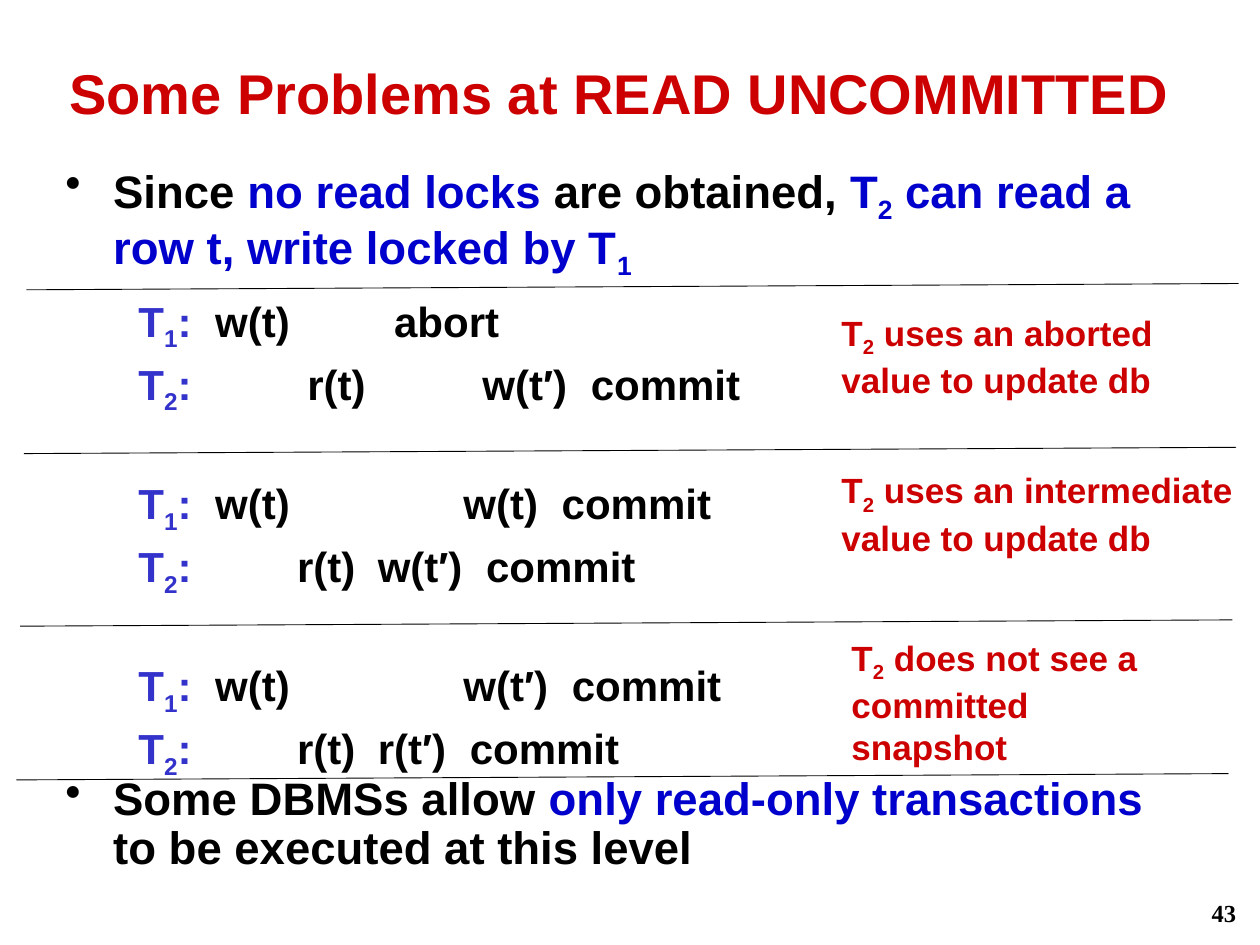
from lxml import etree
from pptx import Presentation
from pptx.dml.color import RGBColor
from pptx.enum.text import MSO_ANCHOR, PP_ALIGN
from pptx.oxml.ns import qn
from pptx.util import Inches, Pt

BLACK = RGBColor(0x00, 0x00, 0x00)
RED = RGBColor(0xCC, 0x00, 0x00)
BLUE = RGBColor(0x00, 0x00, 0xCC)
INDIGO = RGBColor(0x33, 0x33, 0xCC)

# In all wording, "_" makes the next character a subscript.
TITLE = "Some Problems at READ UNCOMMITTED"
BULLETS = [
    [("Since ", BLACK), ("no read locks ", BLUE), ("are obtained, ", BLACK),
     ("T_2 can read a row t, write locked by T_1", BLUE)],
    [("Some DBMSs allow ", BLACK), ("only read-only transactions", BLUE),
     (" to be executed at this level", BLACK)],
]
BULLET_GAPS = [5.2, 286]  # points before each bullet; the schedules sit between

# Each schedule: transaction, then (inches from text edge, operation)
SCHEDULES = [
    [("T_1:", [(0.61, "w(t)"), (2.03, "abort")]),
     ("T_2:", [(1.34, "r(t)"), (2.73, "w(t′)"), (3.59, "commit")])],
    [("T_1:", [(0.61, "w(t)"), (2.58, "w(t)"), (3.36, "commit")]),
     ("T_2:", [(1.26, "r(t)"), (1.9, "w(t′)"), (2.76, "commit")])],
    [("T_1:", [(0.61, "w(t)"), (2.58, "w(t′)"), (3.44, "commit")]),
     ("T_2:", [(1.26, "r(t)"), (1.9, "r(t′)"), (2.63, "commit")])],
]
SCHEDULE_GAP = 32  # points between schedules

NOTES = [  # left, top, width, lines
    (6.58, 2.42, 2.68, ["T_2 uses an aborted", "value to update db"]),
    (6.58, 3.67, 3.31, ["T_2 uses an intermediate", "value to update db"]),
    (6.66, 5, 2.7, ["T_2 does not see a", "committed snapshot"]),
]
RULES = [(0.21, 2.3), (0.19, 3.6), (0.16, 4.97), (0.13, 6.19)]  # left ends
RULE_WIDTH, RULE_RISE = 9.62, 0.05


def add_box(slide, left, top, width, height, wrap=True):
    box = slide.shapes.add_textbox(*map(Inches, (left, top, width, height)))
    box.text_frame.word_wrap = wrap
    return box.text_frame


def next_paragraph(tf, **formats):
    """Use the first, still empty paragraph, or add one."""
    p = tf.paragraphs[0]
    if p.runs:
        p = tf.add_paragraph()
    for name, value in formats.items():
        setattr(p, name, value)
    return p


def add_run(p, text, size, color, font="Arial"):
    r = p.add_run()
    r.text = text
    formats = {"size": Pt(size), "name": font, "bold": True}
    for name, value in formats.items():
        setattr(r.font, name, value)
    r.font.color.rgb = color
    return r


def add_text(p, text, size, color):
    """Add runs, with each character after "_" as a subscript."""
    first, *others = text.split("_")
    if first:
        add_run(p, first, size, color)
    for part in others:
        sub = add_run(p, part[0], size, color)
        sub.font._element.set("baseline", "-25000")
        if part[1:]:
            add_run(p, part[1:], size, color)


def set_bullet(p, indent):
    pPr = p._p.get_or_add_pPr()
    pPr.set("marL", str(Inches(indent)))
    pPr.set("indent", str(-Inches(indent)))
    etree.SubElement(pPr, qn("a:buChar"), char="•")


def set_tabs(p, stops):
    tabs = etree.SubElement(p._p.get_or_add_pPr(), qn("a:tabLst"))
    for stop in stops:
        etree.SubElement(tabs, qn("a:tab"), pos=str(Inches(stop)), algn="l")


def add_rule(slide, left, top):
    ends = (left, top, left + RULE_WIDTH, top - RULE_RISE)
    line = slide.shapes.add_connector(1, *map(Inches, ends))
    line.line.color.rgb = BLACK
    line.line.width = Pt(0.5)
    etree.SubElement(line._element.spPr, qn("a:effectLst"))


def main():
    prs = Presentation()
    prs.slide_width, prs.slide_height = Inches(10), Inches(7.5)
    slide = prs.slides.add_slide(prs.slide_layouts[6])

    tf = add_box(slide, 7.83, 7.08, 2.08, 0.33)
    p = next_paragraph(tf, alignment=PP_ALIGN.RIGHT)
    add_run(p, "43", 14, BLACK, "Times New Roman")

    tf = add_box(slide, 0, 0.25, 10, 0.83)
    tf.vertical_anchor = MSO_ANCHOR.MIDDLE
    p = next_paragraph(tf, alignment=PP_ALIGN.CENTER)
    add_run(p, TITLE, 32, RED)
    add_run(p, " ", 44, BLACK)

    tf = add_box(slide, 0.42, 1.25, 9, 5.75)
    for parts, gap in zip(BULLETS, BULLET_GAPS):
        p = next_paragraph(tf, line_spacing=0.9, space_before=Pt(gap))
        set_bullet(p, 0.38)
        for text, color in parts:
            add_text(p, text, 26, color)

    tf = add_box(slide, 1, 2.25, 4.99, 3.62, wrap=False)
    for i, schedule in enumerate(SCHEDULES):
        for j, (name, steps) in enumerate(schedule):
            gap = SCHEDULE_GAP if i and not j else 0
            p = next_paragraph(tf, line_spacing=1.1, space_before=Pt(gap))
            set_tabs(p, [stop for stop, _ in steps])
            add_text(p, name, 24, INDIGO)
            add_run(p, "".join("\t" + step for _, step in steps), 24, BLACK)

    for left, top, width, lines in NOTES:
        tf = add_box(slide, left, top, width, 0.77, wrap=width < 3)
        for text in lines:
            add_text(next_paragraph(tf), text, 20, RED)

    for left, top in RULES:
        add_rule(slide, left, top)

    prs.save("out.pptx")


if __name__ == "__main__":
    main()
